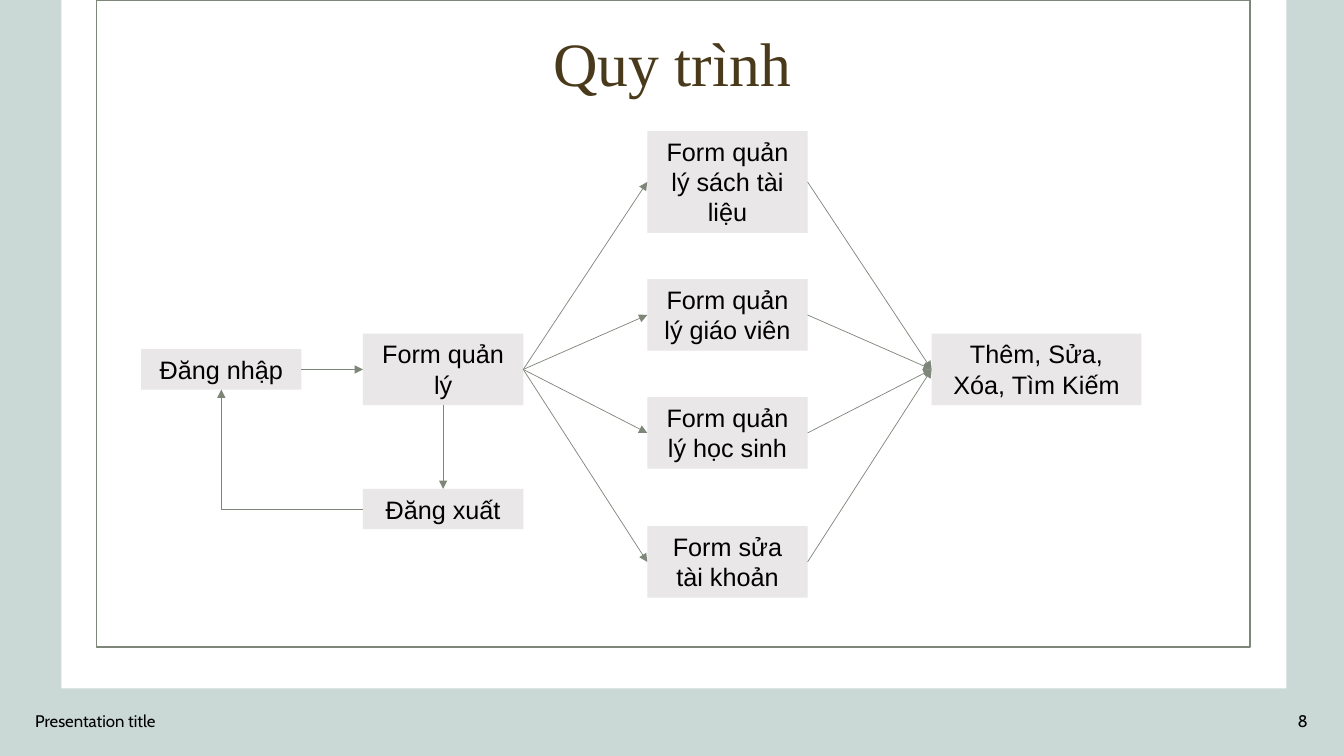
from dataclasses import dataclass

from lxml import etree
from pptx import Presentation
from pptx import util as u
from pptx.dml.color import RGBColor
from pptx.enum import shapes, text
from pptx.oxml import ns

Inches = u.Inches
TOP, LEFT, BOTTOM, RIGHT = range(4)


@dataclass(frozen=True)
class Theme:
    backdrop: RGBColor = RGBColor.from_string("CAD8D6")
    panel: RGBColor = RGBColor.from_string("FFFFFF")
    line: RGBColor = RGBColor.from_string("7E8679")
    step: RGBColor = RGBColor.from_string("E9E7E7")
    title: RGBColor = RGBColor.from_string("4A3A1C")
    ink: RGBColor = RGBColor.from_string("000000")
    title_font: str = "Times New Roman"
    step_font: str = "Arial"
    footer_font: str = "Cabin"
    title_size: int = 44
    step_size: int = 18
    footer_size: int = 12
    frame_width: float = 1
    arrow_width: float = 0.5


THEME = Theme()


def write(shape, words, font_name, size, color, align, anchor):
    frame = shape.text_frame
    frame.word_wrap = True
    frame.vertical_anchor = anchor
    paragraph = frame.paragraphs[0]
    paragraph.text = words
    paragraph.alignment = align
    paragraph.font.name = font_name
    paragraph.font.size = u.Pt(size)
    paragraph.font.color.rgb = color
    return paragraph


def add_rectangle(slide, box, fill=None, line=None):
    shape = slide.shapes.add_shape(
        shapes.MSO_SHAPE.RECTANGLE, *(Inches(length) for length in box))
    shape.shadow.inherit = False
    if fill is None:
        shape.fill.background()
    else:
        shape.fill.solid()
        shape.fill.fore_color.rgb = fill
    if line is None:
        shape.line.fill.background()
    else:
        shape.line.color.rgb = line
        shape.line.width = u.Pt(THEME.frame_width)
    return shape


def add_label(slide, box, words, font_name, size, color, align):
    label = slide.shapes.add_textbox(*(Inches(length) for length in box))
    return write(label, words, font_name, size, color, align, text.MSO_ANCHOR.MIDDLE)


def add_step(slide, box, words):
    step = add_rectangle(slide, box, fill=THEME.step)
    write(step, words, THEME.step_font, THEME.step_size, THEME.ink,
          text.PP_ALIGN.CENTER, text.MSO_ANCHOR.TOP)
    step.text_frame.auto_size = text.MSO_AUTO_SIZE.SHAPE_TO_FIT_TEXT
    return step


def add_arrow(slide, start, start_side, end, end_side,
              kind=shapes.MSO_CONNECTOR.STRAIGHT):
    arrow = slide.shapes.add_connector(kind, 0, 0, 0, 0)
    arrow.begin_connect(start, start_side)
    arrow.end_connect(end, end_side)
    arrow.line.color.rgb = THEME.line
    arrow.line.width = u.Pt(THEME.arrow_width)
    etree.SubElement(arrow.line._get_or_add_ln(), ns.qn("a:tailEnd"), type="triangle")
    etree.SubElement(arrow._element.spPr, ns.qn("a:effectLst"))
    return arrow


def add_panel(slide, box):
    left, top, width, height = box
    add_rectangle(slide, box, fill=THEME.panel)
    add_rectangle(slide, (left + 0.35, top, width - 0.71, height - 0.41),
                  line=THEME.line)


def add_title(slide, box, words):
    paragraph = add_label(slide, box, words, THEME.title_font, THEME.title_size,
                          THEME.title, text.PP_ALIGN.CENTER)
    paragraph.line_spacing = 0.9


def add_footer(slide, box, words, number):
    left, top, width, height = box
    number_width = 3
    style = THEME.footer_font, THEME.footer_size, THEME.ink
    add_label(slide, (left, top, 4.5, height), words, *style, text.PP_ALIGN.LEFT)
    add_label(slide, (left + width - number_width, top, number_width, height),
              number, *style, text.PP_ALIGN.RIGHT)


def add_process(slide, box):
    left, top, width, height = box
    step_width, result_width = 1.59, 2.08
    one_line, two_lines, three_lines = 0.4, 0.71, 1.01
    middle = top + 2.365
    menu_left, form_left = left + 2.2, left + 5.02

    def centred(step_left, step_width, step_height):
        return step_left, middle - step_height / 2, step_width, step_height

    login = add_step(slide, centred(left, step_width, one_line), "Đăng nhập")
    menu = add_step(slide, centred(menu_left, step_width, two_lines), "Form quản lý")
    logout = add_step(slide, (menu_left, top + 3.55, step_width, one_line), "Đăng xuất")
    result = add_step(
        slide, centred(left + width - result_width, result_width, two_lines),
        "Thêm, Sửa, Xóa, Tìm Kiếm")

    forms = [
        (0, three_lines, "Form quản lý sách tài liệu"),
        (1.47, two_lines, "Form quản lý giáo viên"),
        (2.64, two_lines, "Form quản lý học sinh"),
        (height - two_lines, two_lines, "Form sửa tài khoản"),
    ]
    for offset, form_height, words in forms:
        form = add_step(slide, (form_left, top + offset, step_width, form_height), words)
        add_arrow(slide, menu, RIGHT, form, LEFT)
        add_arrow(slide, form, RIGHT, result, LEFT)

    add_arrow(slide, login, RIGHT, menu, LEFT)
    add_arrow(slide, menu, BOTTOM, logout, TOP)
    back = add_arrow(slide, logout, LEFT, login, BOTTOM, shapes.MSO_CONNECTOR.ELBOW)
    back._element.spPr.find(ns.qn("a:prstGeom")).set("prst", "bentConnector2")


def build_process_slide(presentation):
    slide = presentation.slides.add_slide(presentation.slide_layouts[6])
    slide.background.fill.solid()
    slide.background.fill.fore_color.rgb = THEME.backdrop
    add_panel(slide, (0.61, 0, 12.15, 6.83))
    add_title(slide, (0.42, 0.03, 12.5, 1.27), "Quy trình")
    add_footer(slide, (0.25, 6.95, 12.82, 0.4), "Presentation title", "8")
    add_process(slide, (1.4, 1.3, 9.92, 4.63))


def main():
    presentation = Presentation()
    presentation.slide_width = Inches(13.33)
    presentation.slide_height = Inches(7.5)
    build_process_slide(presentation)
    presentation.save("out.pptx")


if __name__ == "__main__":
    main()
